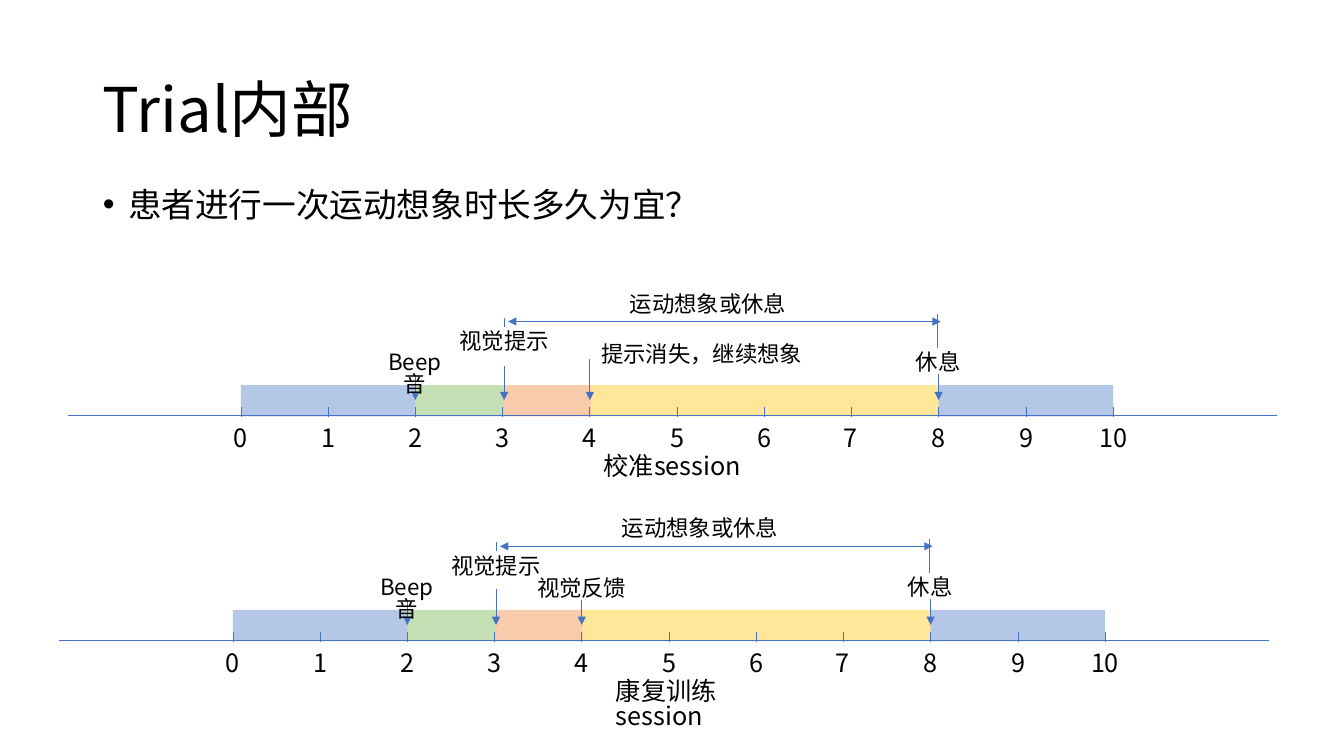
from dataclasses import dataclass

import lxml.etree
import pptx
import pptx.dml.color
import pptx.enum.shapes
import pptx.enum.text
import pptx.oxml.ns
import pptx.util

EMU_PER_PX = 9144
FONT = "Noto Sans CJK SC"
COLOURS = {
    "text": "000000",
    "line": "4472C4",
    "idle": "B4C7E7",
    "beep": "C5E0B4",
    "cue": "F8CBAD",
    "imagery": "FFE699",
}
ALIGN = pptx.enum.text.PP_ALIGN
AUTO_SIZE = pptx.enum.text.MSO_AUTO_SIZE
ANCHOR = pptx.enum.text.MSO_ANCHOR
SECOND_ZERO = 239
SECOND_WIDTH = 86.5


@dataclass(frozen=True)
class Segment:
    left: int
    width: int
    colour: str


@dataclass(frozen=True)
class Line:
    x1: int
    y1: int
    x2: int
    y2: int
    ends: tuple[str, ...] = ()


@dataclass(frozen=True)
class Label:
    text: str
    left: int
    top: int
    width: int
    height: int = 26
    size: int = 16
    align: ALIGN = ALIGN.CENTER


@dataclass(frozen=True)
class Timeline:
    dx: int
    dy: int
    cue_top: int
    change_top: int
    change: Label
    caption: Label


SEGMENTS = (
    Segment(585, 348, "imagery"),
    Segment(410, 90, "beep"),
    Segment(239, 173, "idle"),
    Segment(931, 173, "idle"),
    Segment(500, 86, "cue"),
)
GUIDES = (
    Line(67, 412, 1267, 412),
    Line(504, 319, 933, 319, ("headEnd", "tailEnd")),
    Line(930, 345, 930, 312),
    Line(500, 324, 500, 315),
)
EVENT_LABELS = (
    Label("Beep音", 366, 345, 91),
    Label("视觉提示", 445, 324, 110),
    Label("休息", 898, 345, 65),
    Label("运动想象或休息", 615, 287, 177, align=ALIGN.LEFT),
)
TIMELINES = (
    Timeline(0, 0, 363, 356,
             Label("提示消失，继续想象", 585, 337, 222, 37),
             Label("校准session", 589, 447, 156, 40, 18, ALIGN.LEFT)),
    Timeline(-8, 223, 361, 372,
             Label("视觉反馈", 530, 346, 110),
             Label("康复训练session", 609, 447, 205, 40, 18, ALIGN.LEFT)),
)


def px(value: float) -> pptx.util.Emu:
    return pptx.util.Emu(round(value) * EMU_PER_PX)


def rgb(name: str) -> pptx.dml.color.RGBColor:
    return pptx.dml.color.RGBColor.from_string(COLOURS[name])


def apply_format(target: object, values: dict[str, object]) -> None:
    for name, value in values.items():
        setattr(target, name, value)


def write_text(shape, text: str, size: int, frame_format: dict, paragraph_format: dict) -> None:
    apply_format(shape.text_frame, frame_format)
    paragraph = shape.text_frame.paragraphs[0]
    apply_format(paragraph, paragraph_format)
    run = paragraph.add_run()
    run.text = text
    apply_format(run.font, {"size": pptx.util.Pt(size), "name": FONT})
    run.font.color.rgb = rgb("text")
    east_asian = lxml.etree.SubElement(run._r.get_or_add_rPr(), pptx.oxml.ns.qn("a:ea"))
    east_asian.set("typeface", FONT)


def draw_label(shapes, label: Label, dx: int, dy: int) -> None:
    box = shapes.add_textbox(px(label.left + dx), px(label.top + dy), px(label.width), px(label.height))
    write_text(box, label.text, label.size,
               {"word_wrap": True, "auto_size": AUTO_SIZE.SHAPE_TO_FIT_TEXT},
               {"alignment": label.align, "line_spacing": 0.83})


def draw_segment(shapes, segment: Segment, dx: int, dy: int) -> None:
    rectangle = shapes.add_shape(pptx.enum.shapes.MSO_SHAPE.RECTANGLE,
                                 px(segment.left + dx), px(382 + dy), px(segment.width), px(31))
    rectangle.shadow.inherit = False
    rectangle.fill.solid()
    rectangle.fill.fore_color.rgb = rgb(segment.colour)
    rectangle.line.fill.background()


def draw_line(shapes, line: Line, dx: int, dy: int) -> None:
    connector = shapes.add_connector(pptx.enum.shapes.MSO_CONNECTOR.STRAIGHT,
                                     px(line.x1 + dx), px(line.y1 + dy),
                                     px(line.x2 + dx), px(line.y2 + dy))
    connector.line.width = pptx.util.Pt(0.5)
    connector.line.color.rgb = rgb("line")
    outline = connector.line._get_or_add_ln()
    for end in line.ends:
        lxml.etree.SubElement(outline, pptx.oxml.ns.qn(f"a:{end}")).set("type", "triangle")
    lxml.etree.SubElement(connector._element.spPr, pptx.oxml.ns.qn("a:effectLst"))


def draw_timeline(slide, timeline: Timeline) -> None:
    shapes = slide.shapes.add_group_shape().shapes
    offset = (timeline.dx, timeline.dy)
    for segment in SEGMENTS:
        draw_segment(shapes, segment, *offset)
    for guide in GUIDES:
        draw_line(shapes, guide, *offset)
    for second in range(11):
        x = round(SECOND_ZERO + second * SECOND_WIDTH)
        width = 64 if second < 10 else 90
        draw_line(shapes, Line(x, 404, x, 414), *offset)
        draw_label(shapes, Label(str(second), x - width // 2, 419, width, 29, 18), *offset)
    for x, top in ((412, 372), (500, timeline.cue_top), (585, timeline.change_top), (931, 371)):
        draw_line(shapes, Line(x, top, x, 397, ("tailEnd",)), *offset)
    for label in (*EVENT_LABELS, timeline.change):
        draw_label(shapes, label, *offset)
    draw_label(slide.shapes, timeline.caption, *offset)


def place(shape, left: int, top: int, width: int, height: int) -> None:
    apply_format(shape, {"left": px(left), "top": px(top), "width": px(width), "height": px(height)})


def main() -> None:
    presentation = pptx.Presentation()
    apply_format(presentation, {"slide_width": px(1333), "slide_height": px(750)})
    slide = presentation.slides.add_slide(presentation.slide_layouts[1])

    title = slide.shapes.title
    place(title, 92, 40, 1150, 145)
    write_text(title, "Trial内部", 44,
               {"vertical_anchor": ANCHOR.MIDDLE, "auto_size": AUTO_SIZE.NONE, "word_wrap": True},
               {"alignment": ALIGN.LEFT, "line_spacing": 0.85})

    body = slide.placeholders[1]
    place(body, 92, 185, 1174, 506)
    write_text(body, "患者进行一次运动想象时长多久为宜？", 24,
               {"vertical_anchor": ANCHOR.TOP, "auto_size": AUTO_SIZE.NONE, "word_wrap": True},
               {"line_spacing": 0.8, "space_before": pptx.util.Pt(10)})
    properties = body.text_frame.paragraphs[0]._p.get_or_add_pPr()
    properties.set("marL", str(px(25)))
    properties.set("indent", str(px(-25)))
    lxml.etree.SubElement(properties, pptx.oxml.ns.qn("a:buFont")).set("typeface", "Arial")
    lxml.etree.SubElement(properties, pptx.oxml.ns.qn("a:buChar")).set("char", "•")

    for timeline in TIMELINES:
        draw_timeline(slide, timeline)
    presentation.save("out.pptx")


if __name__ == "__main__":
    main()
